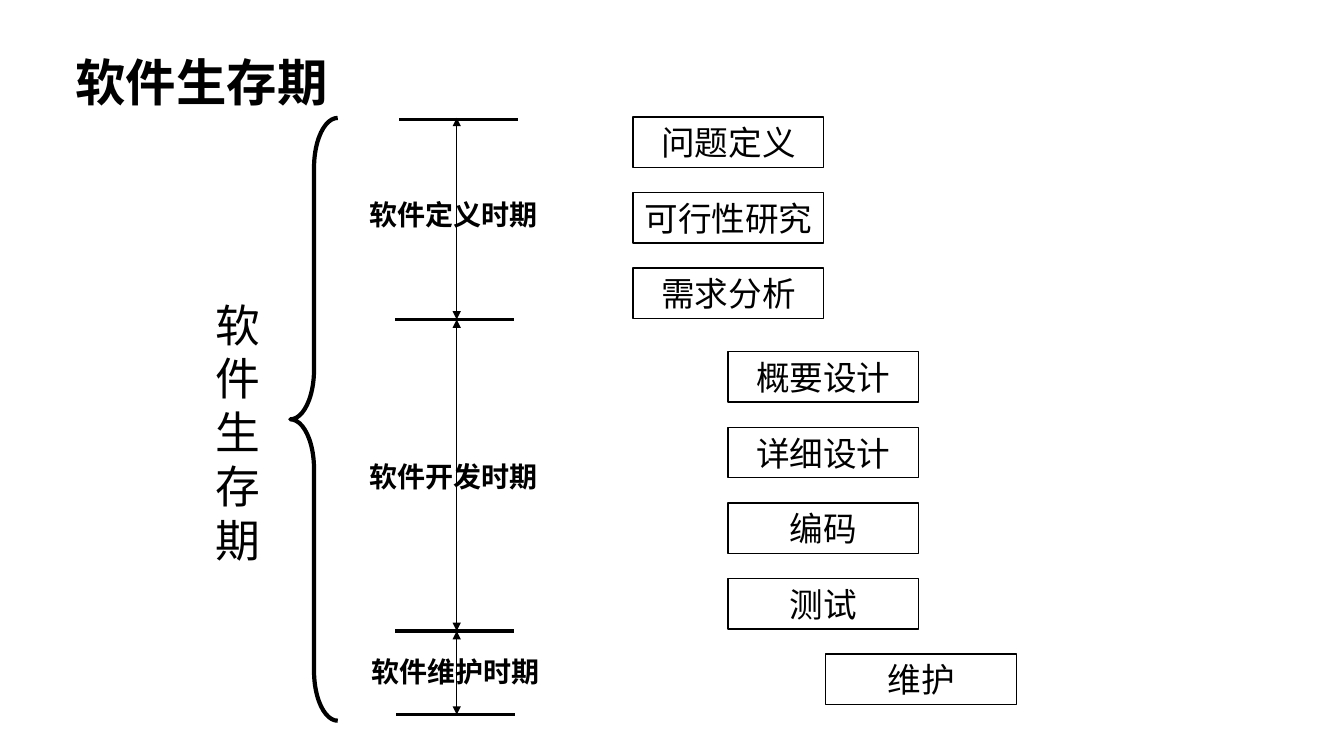
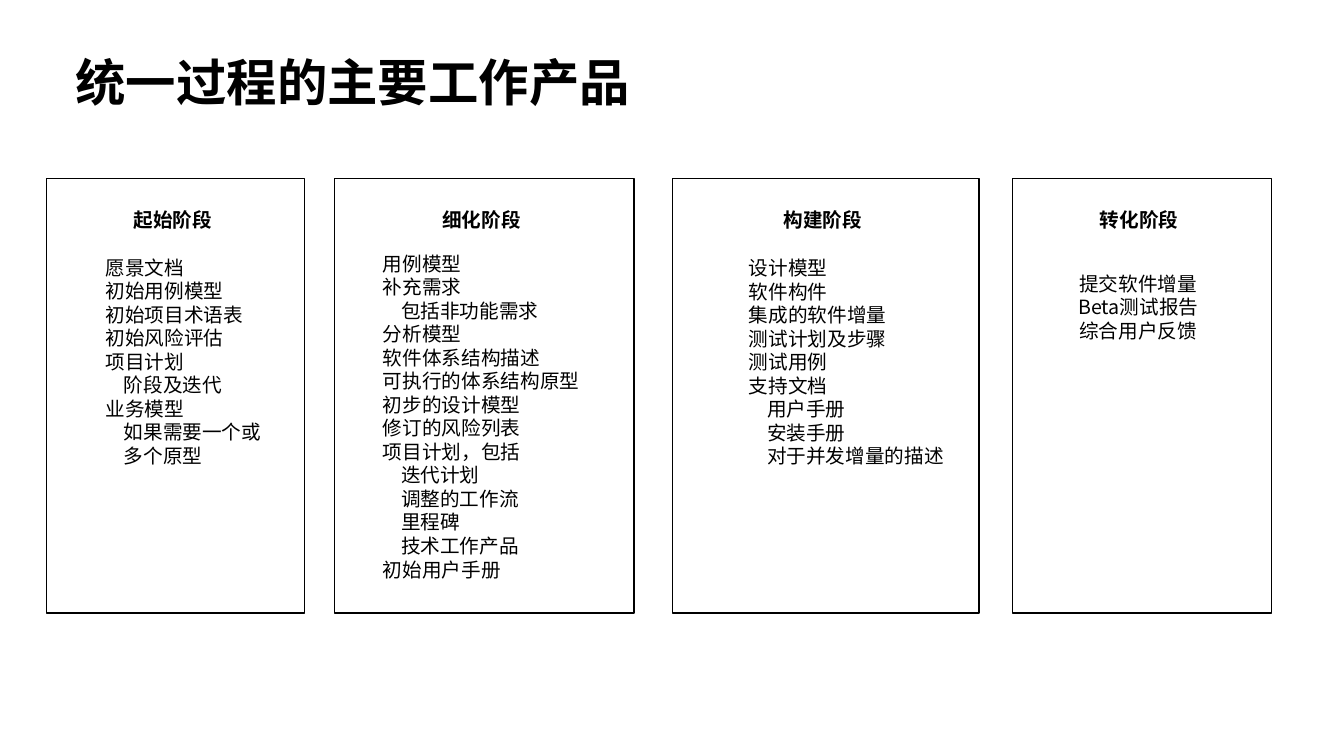
import pptx
import pptx.util
import pptx.dml.color
import pptx.enum.shapes
import pptx.enum.text
import pptx.oxml.ns
from lxml import etree

Inches = pptx.util.Inches
Pt = pptx.util.Pt
SHAPE = pptx.enum.shapes.MSO_SHAPE
ANCHOR = pptx.enum.text.MSO_ANCHOR
ALIGN = pptx.enum.text.PP_ALIGN
qn = pptx.oxml.ns.qn

FONT = "Noto Sans CJK SC"
BLACK, WHITE = "000000", "FFFFFF"
SUB_INDENT = 0.18


def color(value):
    return pptx.dml.color.RGBColor.from_string(value)


def add_box(s, at, lines=(), size=14, bold=False, align=ALIGN.LEFT, anchor=ANCHOR.MIDDLE,
            wrap=True, fill=None, line=0, spacing=None):
    """Add a rectangle or, without a fill, a text box; a line given as a tuple is a sub-item."""
    at = [Inches(v) for v in at]
    if fill:
        sp = s.shapes.add_shape(SHAPE.RECTANGLE, *at)
        sp.shadow.inherit = False
        sp.fill.solid()
        sp.fill.fore_color.rgb = color(fill)
        if line:
            sp.line.color.rgb = color(BLACK)
            sp.line.width = Pt(line)
        else:
            sp.line.fill.background()
    else:
        sp = s.shapes.add_textbox(*at)
    tf = sp.text_frame
    tf.word_wrap = wrap
    tf.vertical_anchor = anchor
    for i, text in enumerate(lines):
        p = tf.paragraphs[0] if i == 0 else tf.add_paragraph()
        p.alignment = align
        if spacing:
            p.line_spacing = spacing
        if isinstance(text, tuple):
            p._p.get_or_add_pPr().set("marL", str(Inches(SUB_INDENT)))
            text = text[0]
        r = p.add_run()
        r.text = text
        r.font.size = Pt(size)
        r.font.bold = bold
        r.font.name = FONT
        r.font.color.rgb = color(BLACK)
        etree.SubElement(r._r.get_or_add_rPr(), qn("a:ea")).set("typeface", FONT)


prs = pptx.Presentation()
prs.slide_width = Inches(13.33)
prs.slide_height = Inches(7.5)

# Slides with their shared title style
slides = []
for title in ["软件生存期", "统一过程的主要工作产品"]:
    s = prs.slides.add_slide(prs.slide_layouts[6])
    add_box(s, (0.65, 0.15, 8.86, 1.01), [title], 36, bold=True, anchor=ANCHOR.BOTTOM, spacing=0.9)
    slides.append(s)
life_cycle, work_products = slides

# Life cycle: activity boxes, stepping right with each period
s = life_cycle
activities = [
    (6.28, 1.16, ["问题定义", "可行性研究", "需求分析"]),
    (7.22, 3.49, ["概要设计", "详细设计", "编码", "测试"]),
    (8.19, 6.49, ["维护"]),
]
for left, top, names in activities:
    for i, name in enumerate(names):
        add_box(s, (left, top + i * 0.75, 1.89, 0.5), [name], 24, align=ALIGN.CENTER,
                wrap=False, fill=WHITE, line=1)

# Life cycle: boundary ticks and double-headed period arrows
axis_x = 4.53
ticks = [(3.96, 1.19), (3.92, 3.17), (3.92, 6.26), (3.93, 7.09)]
levels = [1.17, 3.17, 6.26, 7.09]
lines = [(x, y, x + 1.18, y, 2.25) for x, y in ticks]
lines += [(axis_x, y1, axis_x, y2, 0.75) for y1, y2 in zip(levels, levels[1:])]
for x1, y1, x2, y2, width in lines:
    c = s.shapes.add_connector(pptx.enum.shapes.MSO_CONNECTOR.STRAIGHT,
                               Inches(x1), Inches(y1), Inches(x2), Inches(y2))
    c.line.color.rgb = color(BLACK)
    c.line.width = Pt(width)
    if x1 == x2:
        for end in ("a:headEnd", "a:tailEnd"):
            etree.SubElement(c.line._get_or_add_ln(), qn(end)).set("type", "triangle")
    etree.SubElement(c._element.spPr, qn("a:effectLst"))

# Life cycle: period labels
for left, top, label in [(3.56, 1.91, "软件定义时期"), (3.56, 4.51, "软件开发时期"),
                         (3.58, 6.44, "软件维护时期")]:
    add_box(s, (left, top, 1.88, 0.43), [label], 20, bold=True, align=ALIGN.CENTER,
            anchor=ANCHOR.TOP, wrap=False)

# Life cycle: brace and stacked caption
brace = s.shapes.add_shape(SHAPE.LEFT_BRACE, Inches(2.88), Inches(1.17), Inches(0.47), Inches(5.98))
brace.shadow.inherit = False
brace.adjustments[0] = 1.05
brace.adjustments[1] = 0.5
brace.fill.background()
brace.line.color.rgb = color(BLACK)
brace.line.width = Pt(3)
add_box(s, (2.04, 2.9, 0.65, 2.79), list("软件生存期"), 32, anchor=ANCHOR.TOP)

# Work products: panel left and width, heading, list position, items
panels = [
    (0.46, 2.56, "起始阶段", (0.95, 2.39, 1.87, 2.39), ALIGN.LEFT,
     ["愿景文档", "初始用例模型", "初始项目术语表", "初始风险评估", "项目计划", ("阶段及迭代",),
      "业务模型", ("如果需要一个或",), ("多个原型",)]),
    (3.32, 2.97, "细化阶段", (3.7, 2.53, 2.17, 3.2), ALIGN.LEFT,
     ["用例模型", "补充需求", ("包括非功能需求",), "分析模型", "软件体系结构描述",
      "可执行的体系结构原型", "初步的设计模型", "修订的风险列表", "项目计划，包括",
      ("迭代计划",), ("调整的工作流",), ("里程碑",), ("技术工作产品",), "初始用户手册"]),
    (6.67, 3.04, "构建阶段", (7.33, 2.6, 2.22, 1.98), ALIGN.LEFT,
     ["设计模型", "软件构件", "集成的软件增量", "测试计划及步骤", "测试用例", "支持文档",
      ("用户手册",), ("安装手册",), ("对于并发增量的描述",)]),
    (10.04, 2.57, "转化阶段", (10.35, 2.51, 1.88, 1.07), ALIGN.CENTER,
     ["提交软件增量", "Beta测试报告", "综合用户反馈"]),
]
s = work_products
for left, width, heading, list_at, align, items in panels:
    add_box(s, (left, 1.77, width, 4.31), fill=WHITE, line=1)
    add_box(s, (left + 0.24 * width, 2.05, width / 2, 0.26), [heading], bold=True,
            align=ALIGN.CENTER, fill=WHITE)
    add_box(s, list_at, items, align=align, fill=WHITE)

prs.save("out.pptx")
